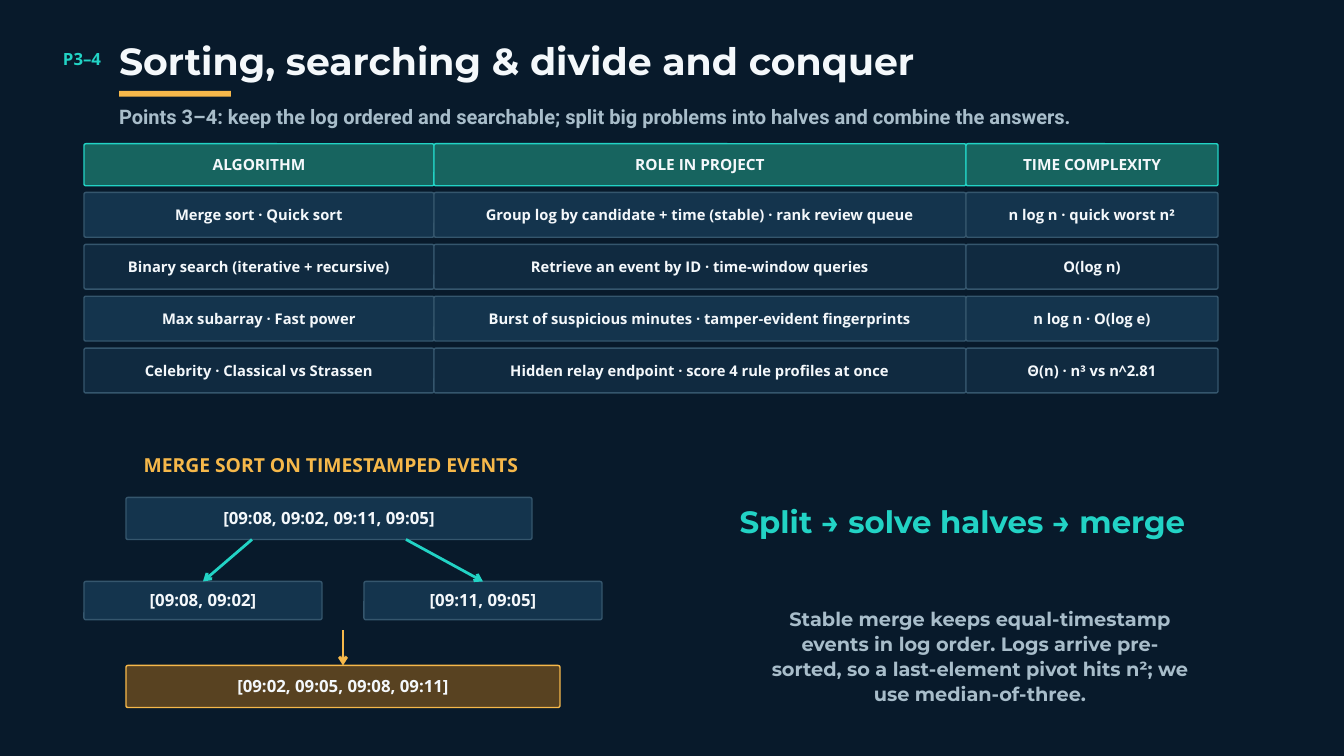
from dataclasses import dataclass

from lxml.etree import SubElement
from pptx import Presentation
from pptx.dml.color import RGBColor
from pptx.enum.shapes import MSO_CONNECTOR, MSO_SHAPE
from pptx.enum.text import MSO_ANCHOR, PP_ALIGN
from pptx.oxml.ns import qn
from pptx.util import Pt


@dataclass(frozen=True)
class Theme:
    background: RGBColor = RGBColor.from_string("081A2B")
    text: RGBColor = RGBColor.from_string("F4F8FB")
    muted: RGBColor = RGBColor.from_string("A8BDCA")
    teal: RGBColor = RGBColor.from_string("22D3C5")
    gold: RGBColor = RGBColor.from_string("F6B84A")
    header_fill: RGBColor = RGBColor.from_string("17645F")
    box_fill: RGBColor = RGBColor.from_string("14344D")
    alternate_fill: RGBColor = RGBColor.from_string("102A40")
    result_fill: RGBColor = RGBColor.from_string("584221")
    border: RGBColor = RGBColor.from_string("35566D")
    heading_font: str = "Montserrat"
    body_font: str = "Open Sans"
    subtitle_font: str = "Roboto"
    title_size: float = 40.5
    slogan_size: float = 33
    subtitle_size: float = 21.5
    note_size: float = 20.7
    box_size: float = 18
    header_size: float = 16.5
    cell_size: float = 15.8


theme = Theme()


def write_text(shape, text, font, size, color, spacing, inset=0, align=PP_ALIGN.LEFT):
    """Fill a shape with one bold paragraph; spacing is the exact line height."""
    frame = shape.text_frame
    frame.word_wrap = True
    frame.margin_left = frame.margin_right = Pt(inset)
    frame.margin_top = frame.margin_bottom = Pt(inset)
    paragraph = frame.paragraphs[0]
    paragraph.alignment = align
    paragraph.line_spacing = Pt(spacing)
    run = paragraph.add_run()
    run.text = text
    run.font.name = font
    run.font.size = Pt(size)
    run.font.bold = True
    run.font.color.rgb = color


def add_box(left, top, width, height, text, size, spacing, fill, border):
    shape = slide.shapes.add_shape(
        MSO_SHAPE.ROUNDED_RECTANGLE, Pt(left), Pt(top), Pt(width), Pt(height))
    shape.adjustments[0] = 2 / height
    shape.shadow.inherit = False
    shape.fill.solid()
    shape.fill.fore_color.rgb = fill
    shape.line.color.rgb = border
    shape.line.width = Pt(1.5)
    shape.text_frame.vertical_anchor = MSO_ANCHOR.MIDDLE
    write_text(shape, text, theme.body_font, size, theme.text, spacing, 4.5, PP_ALIGN.CENTER)
    return shape


presentation = Presentation()
presentation.slide_width = Pt(1440)
presentation.slide_height = Pt(810)
slide = presentation.slides.add_slide(presentation.slide_layouts[6])
slide.background.fill.solid()
slide.background.fill.fore_color.rgb = theme.background

# Headings and notes: left, top, width, height, text, font, size, color, spacing, align
labels = [
    (67.5, 50.4, 52.5, 22.5, "P3–4", theme.body_font, theme.box_size,
     theme.teal, 23.4, PP_ALIGN.LEFT),
    (127.5, 46, 1200, 42.5, "Sorting, searching & divide and conquer",
     theme.heading_font, theme.title_size, theme.text, 42.5, PP_ALIGN.LEFT),
    (127.5, 111.6, 1200, 26,
     "Points 3–4: keep the log ordered and searchable; split big problems into halves "
     "and combine the answers.",
     theme.subtitle_font, theme.subtitle_size, theme.muted, 25.8, PP_ALIGN.LEFT),
    (154, 483, 428, 25.5, "MERGE SORT ON TIMESTAMPED EVENTS",
     theme.body_font, theme.note_size, theme.gold, 27, PP_ALIGN.LEFT),
    (787.5, 543.6, 487.5, 36, "Split → solve halves → merge",
     theme.heading_font, theme.slogan_size, theme.teal, 34.6, PP_ALIGN.CENTER),
    (825, 648, 450, 104,
     "Stable merge keeps equal-timestamp events in log order. Logs arrive pre-sorted, "
     "so a last-element pivot hits n²; we use median-of-three.",
     theme.heading_font, theme.note_size, theme.muted, 27, PP_ALIGN.CENTER),
]
for left, top, width, height, text, font, size, color, spacing, align in labels:
    text_box = slide.shapes.add_textbox(Pt(left), Pt(top), Pt(width), Pt(height))
    write_text(text_box, text, font, size, color, spacing, align=align)

title_rule = slide.shapes.add_shape(
    MSO_SHAPE.RECTANGLE, Pt(127.5), Pt(97.5), Pt(120), Pt(6))
title_rule.shadow.inherit = False
title_rule.fill.solid()
title_rule.fill.fore_color.rgb = theme.gold
title_rule.line.fill.background()

# Algorithm grid of separate rounded cells, with gaps between the rows
columns = [(90, 375), (465, 570), (1035, 270)]
headers = ["ALGORITHM", "ROLE IN PROJECT", "TIME COMPLEXITY"]
algorithms = [
    ("Merge sort · Quick sort",
     "Group log by candidate + time (stable) · rank review queue",
     "n log n · quick worst n²"),
    ("Binary search (iterative + recursive)",
     "Retrieve an event by ID · time-window queries",
     "O(log n)"),
    ("Max subarray · Fast power",
     "Burst of suspicious minutes · tamper-evident fingerprints",
     "n log n · O(log e)"),
    ("Celebrity · Classical vs Strassen",
     "Hidden relay endpoint · score 4 rule profiles at once",
     "Θ(n) · n³ vs n^2.81"),
]
for (left, width), header in zip(columns, headers):
    add_box(left, 154, width, 45, header, theme.header_size, 19,
            theme.header_fill, theme.teal)
for row, cells in enumerate(algorithms):
    fill = theme.alternate_fill if row % 2 else theme.box_fill
    for (left, width), text in zip(columns, cells):
        add_box(left, 206.2 + row * 55.6, width, 48, text, theme.cell_size, 18.1,
                fill, theme.border)

# Merge sort diagram
unsorted_box = add_box(135, 533, 435, 45, "[09:08, 09:02, 09:11, 09:05]",
                       theme.box_size, 20.7, theme.box_fill, theme.border)
left_half, right_half = [
    add_box(left, 623, 255, 41, text, theme.box_size, 20.7, theme.box_fill, theme.border)
    for left, text in [(90, "[09:08, 09:02]"), (390, "[09:11, 09:05]")]
]
sorted_box = add_box(135, 713, 465, 45, "[09:02, 09:05, 09:08, 09:11]",
                     theme.box_size, 20.7, theme.result_fill, theme.gold)

arrows = [
    (270, 578, left_half, theme.teal),
    (435, 578, right_half, theme.teal),
    (367.5, 675.5, sorted_box, theme.gold),
]
for start_x, start_y, target, color in arrows:
    arrow = slide.shapes.add_connector(
        MSO_CONNECTOR.STRAIGHT, Pt(start_x), Pt(start_y), Pt(start_x), Pt(start_y))
    arrow.end_connect(target, 0)
    arrow.line.color.rgb = color
    arrow.line.width = Pt(3)
    SubElement(arrow.line._get_or_add_ln(), qn("a:tailEnd"), type="arrow")
    SubElement(arrow._element.spPr, qn("a:effectLst"))

presentation.save("out.pptx")
